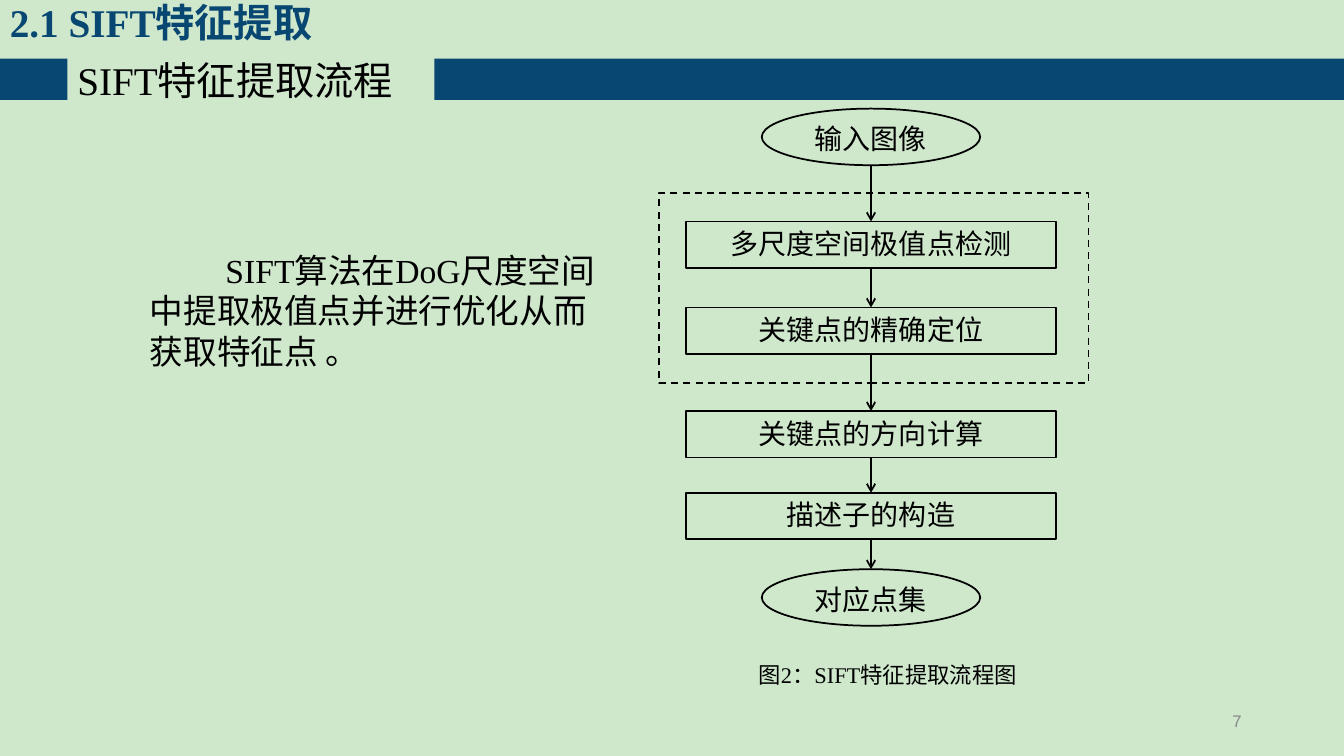
from itertools import pairwise

from lxml.etree import SubElement
from pptx import Presentation
from pptx.dml.color import RGBColor
from pptx.enum.dml import MSO_LINE
from pptx.enum.shapes import MSO_CONNECTOR, MSO_SHAPE
from pptx.enum.text import MSO_ANCHOR, PP_ALIGN
from pptx.oxml.ns import qn
from pptx.util import Pt

NAVY = RGBColor(0x08, 0x47, 0x72)
BLACK = RGBColor(0, 0, 0)
GRAY = RGBColor(0x89, 0x89, 0x89)
MINT = RGBColor(0xCF, 0xE8, 0xCC)
SERIF = "Times New Roman"
SANS = "Arial"
LINE_WIDTH = Pt(1.25)

TITLE = {"name": SERIF, "size": Pt(28), "bold": True}
SUBTITLE = {"name": SERIF, "size": Pt(28)}
BODY = {"name": SERIF, "size": Pt(24)}
STEP = {"name": SANS, "size": Pt(20)}
CAPTION = {"name": SERIF, "size": Pt(16)}
NUMBER = {"name": SANS, "size": Pt(12)}

STEPS = [
    ("输入图像", MSO_SHAPE.OVAL, 0),
    ("多尺度空间极值点检测", MSO_SHAPE.RECTANGLE, 80.6),
    ("关键点的精确定位", MSO_SHAPE.RECTANGLE, 142),
    ("关键点的方向计算", MSO_SHAPE.RECTANGLE, 216),
    ("描述子的构造", MSO_SHAPE.RECTANGLE, 274.4),
    ("对应点集", MSO_SHAPE.OVAL, 329),
]
NODE_SIZES = {MSO_SHAPE.OVAL: (156, 40.4), MSO_SHAPE.RECTANGLE: (264.4, 33.2)}


def write(sp, text, style, color=BLACK, align=PP_ALIGN.LEFT, anchor=MSO_ANCHOR.TOP):
    tf = sp.text_frame
    tf.word_wrap = True
    tf.vertical_anchor = anchor
    p = tf.paragraphs[0]
    p.alignment = align
    r = p.add_run()
    r.text = text
    r.font.color.rgb = color
    for key, value in style.items():
        setattr(r.font, key, value)
    return p


def add_text(s, x, y, w, h, text, style, **options):
    sp = s.shapes.add_textbox(Pt(x), Pt(y), Pt(w), Pt(h))
    return write(sp, text, style, **options)


def add_shape(s, kind, x, y, w, h, fill=None):
    sp = s.shapes.add_shape(kind, Pt(x), Pt(y), Pt(w), Pt(h))
    sp.shadow.inherit = False
    if fill is None:
        sp.fill.background()
        sp.line.color.rgb = BLACK
        sp.line.width = LINE_WIDTH
    else:
        sp.fill.solid()
        sp.fill.fore_color.rgb = fill
        sp.line.fill.background()
    return sp


def add_arrow(s, start, end):
    x = start.left + start.width // 2
    line = s.shapes.add_connector(
        MSO_CONNECTOR.STRAIGHT, x, start.top + start.height, x, end.top)
    if start.auto_shape_type == MSO_SHAPE.RECTANGLE:
        line.begin_connect(start, 2)
    if end.auto_shape_type == MSO_SHAPE.RECTANGLE:
        line.end_connect(end, 0)
    line.line.color.rgb = BLACK
    line.line.width = LINE_WIDTH
    SubElement(line.line._get_or_add_ln(), qn("a:tailEnd"), type="arrow")
    SubElement(line._element.spPr, qn("a:effectLst"))


def add_header(s, x, y, w):
    bar_y, bar_h, tab_w, gap_end = y + 41.8, 29.5, 48.2, 310.3
    add_shape(s, MSO_SHAPE.RECTANGLE, x, bar_y, tab_w, bar_h, NAVY)
    add_shape(s, MSO_SHAPE.RECTANGLE, x + gap_end, bar_y, w - gap_end, bar_h, NAVY)
    add_text(s, x, y - 5, 304, 41, "2.1 SIFT特征提取", TITLE, color=NAVY)
    add_text(s, x + tab_w, y + 36.7, 687, 41, "SIFT特征提取流程", SUBTITLE)


def add_body(s, x, y, w, h):
    p = add_text(s, x, y, w, h,
                 "SIFT算法在DoG尺度空间中提取极值点并进行优化从而获取特征点 。", BODY)
    p._p.get_or_add_pPr().set("indent", str(Pt(54)))


def add_flowchart(s, x, y, w):
    frame = add_shape(s, MSO_SHAPE.RECTANGLE, x, y + 60.5, w, 135.4)
    frame.line.dash_style = MSO_LINE.DASH
    center = x + w / 2 - 2
    nodes = []
    for text, kind, top in STEPS:
        node_w, node_h = NODE_SIZES[kind]
        sp = add_shape(s, kind, center - node_w / 2, y + top, node_w, node_h)
        write(sp, text, STEP, align=PP_ALIGN.CENTER)
        nodes.append(sp)
    for start, end in pairwise(nodes):
        add_arrow(s, start, end)
    add_text(s, x + 64, y + 391, 242.6, 26.6, "图2：SIFT特征提取流程图", CAPTION)


def main():
    prs = Presentation()
    prs.slide_width, prs.slide_height = Pt(960), Pt(540)
    s = prs.slides.add_slide(prs.slide_layouts[6])
    s.background.fill.solid()
    s.background.fill.fore_color.rgb = MINT
    add_header(s, 0, 0, 960)
    add_body(s, 100, 175, 345.6, 94.3)
    add_flowchart(s, 470.8, 77.6, 306.7)
    add_text(s, 678, 500.5, 216, 28.8, "7", NUMBER, color=GRAY,
             align=PP_ALIGN.RIGHT, anchor=MSO_ANCHOR.MIDDLE)
    prs.save("out.pptx")


if __name__ == "__main__":
    main()
